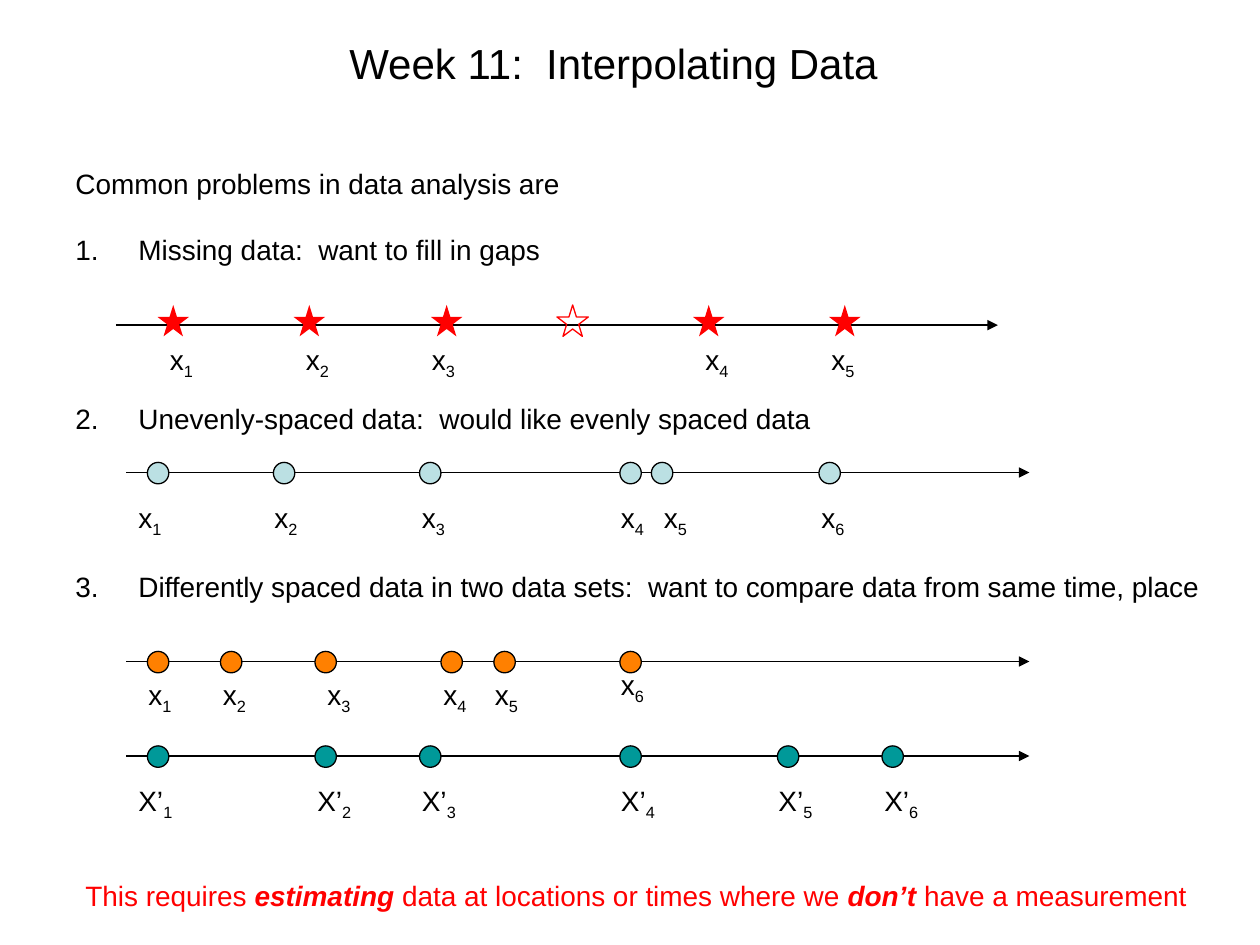
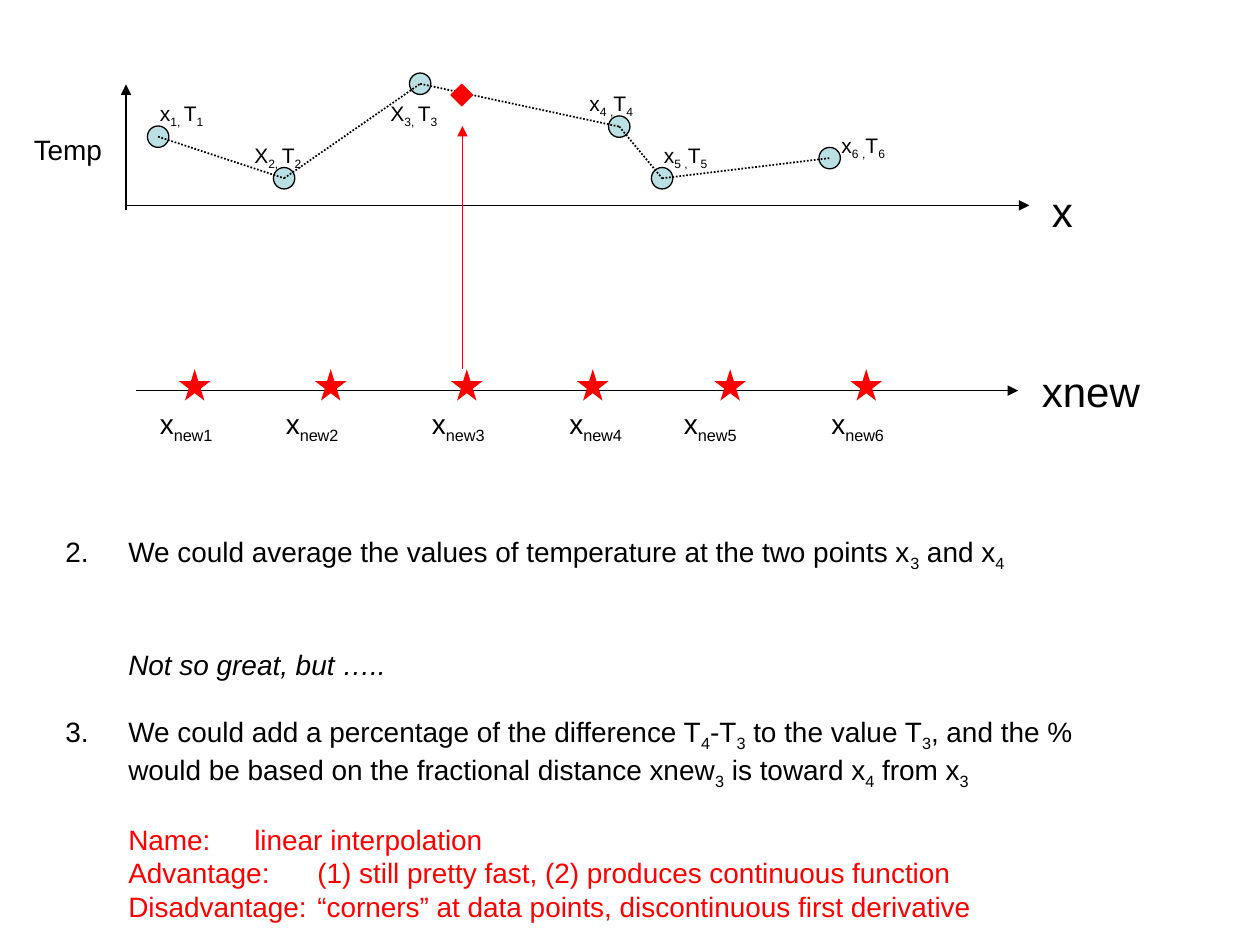
from itertools import pairwise

from pptx import Presentation
from pptx.dml.color import RGBColor
from pptx.enum.dml import MSO_LINE
from pptx.enum.shapes import MSO_CONNECTOR, MSO_SHAPE
from pptx.enum.text import MSO_ANCHOR, MSO_AUTO_SIZE, PP_ALIGN
from pptx.oxml.ns import qn
from pptx.util import Inches, Pt
from lxml.etree import SubElement

BLACK = RGBColor(0x00, 0x00, 0x00)
RED = RGBColor(0xFF, 0x00, 0x00)
PALE_BLUE = RGBColor(0xBB, 0xE0, 0xE3)
ORANGE = RGBColor(0xFF, 0x80, 0x00)
TEAL = RGBColor(0x00, 0x99, 0x99)

FONT = "Arial"
BODY, HEADING, SMALL = 16, 24, 12
DOT, STAR = 0.17, 0.25
TITLE_ONLY, BLANK = 5, 6


# Text
def write(paragraph, text, size=BODY, color=BLACK):
    """Fill a paragraph; ~...~ marks subscripts and *...* bold italics."""
    font = paragraph.font
    font.name, font.size, font.color.rgb = FONT, Pt(size), color
    for i, part in enumerate(text.split("~")):
        for j, piece in enumerate(part.split("*")):
            if not piece:
                continue
            run = paragraph.add_run()
            run.text = piece
            if i % 2:
                run.font._element.set("baseline", "-25000")
            if j % 2:
                run.font.bold = run.font.italic = True


def add_label(slide, text, left, top, width, size=BODY, color=BLACK):
    height = 0.1 + size / 60
    box = slide.shapes.add_textbox(Inches(left), Inches(top), Inches(width), Inches(height))
    frame = box.text_frame
    frame.word_wrap = False
    frame.auto_size = MSO_AUTO_SIZE.SHAPE_TO_FIT_TEXT
    write(frame.paragraphs[0], text, size, color)


def add_labels(slide, texts, lefts, top, width):
    for text, left in zip(texts, lefts):
        add_label(slide, text, left, top, width)


def indexed(stem, count):
    """Names such as x1, x2 ... with the number as a subscript."""
    return [f"{stem}{n}~" for n in range(1, count + 1)]


def add_list(slide, left, top, width, height, items):
    """Items are (text, gap before in points, first number or None, colour)."""
    box = slide.shapes.add_textbox(Inches(left), Inches(top), Inches(width), Inches(height))
    frame = box.text_frame
    frame.word_wrap = True
    for n, (text, gap, number, color) in enumerate(items):
        paragraph = frame.add_paragraph() if n else frame.paragraphs[0]
        paragraph.space_before = Pt(gap)
        write(paragraph, text, color=color)
        if number:
            properties = paragraph._p.get_or_add_pPr()
            properties.set("marL", str(Inches(0.5)))
            properties.set("indent", str(Inches(-0.5)))
            bullet = properties.makeelement(
                qn("a:buAutoNum"), {"type": "arabicPeriod", "startAt": str(number)})
            properties.find(qn("a:defRPr")).addprevious(bullet)
    return frame.paragraphs


def indent(paragraph):
    properties = paragraph._p.get_or_add_pPr()
    properties.set("marL", str(Inches(0.5)))
    properties.set("indent", "0")


def set_title(slide, text):
    title = slide.shapes.title
    title.left, title.top = Inches(1.33), Inches(0.25)
    title.width, title.height = Inches(7.08), Inches(0.5)
    frame = title.text_frame
    frame.auto_size = MSO_AUTO_SIZE.NONE
    frame.vertical_anchor = MSO_ANCHOR.TOP
    frame.paragraphs[0].alignment = PP_ALIGN.CENTER
    write(frame.paragraphs[0], text, HEADING)


# Lines and markers
def add_line(slide, start, end, color=BLACK, weight=0.75, dotted=False):
    """A dotted link, or a solid line with an arrowhead at its end."""
    line = slide.shapes.add_connector(
        MSO_CONNECTOR.STRAIGHT, *(Inches(v) for v in (*start, *end)))
    line.line.color.rgb = color
    line.line.width = Pt(weight)
    if dotted:
        line.line.dash_style = MSO_LINE.ROUND_DOT
    else:
        SubElement(line.line._get_or_add_ln(), qn("a:tailEnd"), type="triangle")
    SubElement(line._element.spPr, qn("a:effectLst"))


def add_marker(slide, kind, left, top, size, fill=None, outline=None):
    marker = slide.shapes.add_shape(
        kind, Inches(left), Inches(top), Inches(size), Inches(size))
    marker.shadow.inherit = False
    if fill is None:
        marker.fill.background()
    else:
        marker.fill.solid()
        marker.fill.fore_color.rgb = fill
    if outline is None:
        marker.line.fill.background()
    else:
        marker.line.color.rgb = outline
        marker.line.width = Pt(0.75)


def add_dot(slide, left, top, fill):
    add_marker(slide, MSO_SHAPE.OVAL, left, top, DOT, fill, BLACK)


def add_star(slide, left, top, filled=True):
    add_marker(slide, MSO_SHAPE.STAR_5_POINT, left, top, STAR,
               RED if filled else None, None if filled else RED)


def add_dot_axis(slide, y, fill, lefts):
    add_line(slide, (1, y), (8.17, y))
    for left in lefts:
        add_dot(slide, left, y - 0.08, fill)


# Slides
def build_problems(prs):
    slide = prs.slides.add_slide(prs.slide_layouts[TITLE_ONLY])
    set_title(slide, "Week 11:  Interpolating Data")
    add_list(slide, 0.5, 1.27, 9.25, 3.57, [
        ("Common problems in data analysis are", 0, None, BLACK),
        ("Missing data:  want to fill in gaps", 19, 1, BLACK),
        ("Unevenly-spaced data:  would like evenly spaced data", 77, 1, BLACK),
        ("Differently spaced data in two data sets:  "
         "want to compare data from same time, place", 77, 1, BLACK),
    ])

    # Missing data: the gap is a hollow star
    add_line(slide, (0.92, 2.58), (7.92, 2.58))
    for left in (1.25, 2.33, 3.42, 4.42, 5.5, 6.58):
        add_star(slide, left, 2.42, filled=left != 4.42)
    add_labels(slide, indexed("x~", 5), (1.25, 2.33, 3.33, 5.5, 6.5), 2.67, 0.4)

    # Unevenly spaced data
    add_dot_axis(slide, 3.75, PALE_BLUE, (1.17, 2.17, 3.33, 4.92, 5.17, 6.5))
    add_labels(slide, indexed("x~", 6), (1, 2.08, 3.25, 4.83, 5.17, 6.42), 3.92, 0.4)

    # Two data sets; the last label of the first sits closer to its axis
    add_dot_axis(slide, 5.25, ORANGE, (1.17, 1.75, 2.5, 3.5, 3.92, 4.92))
    *first_names, last_name = indexed("x~", 6)
    add_labels(slide, first_names, (1.08, 1.67, 2.5, 3.42, 3.83), 5.33, 0.4)
    add_label(slide, last_name, 4.83, 5.25, 0.4)
    add_dot_axis(slide, 6, TEAL, (1.17, 2.5, 3.33, 4.92, 6.17, 7))
    add_labels(slide, indexed("X’~", 6), (1, 2.42, 3.25, 4.83, 6.08, 6.92), 6.17, 0.48)

    add_label(slide, "This requires *estimating* data at locations or times "
              "where we *don’t* have a measurement", 0.58, 6.92, 8.96, color=RED)


def build_interpolation(prs):
    slide = prs.slides.add_slide(prs.slide_layouts[BLANK])

    # Axes
    add_line(slide, (1, 1.63), (8.17, 1.63))
    add_line(slide, (1, 1.67), (1, 0.67))
    add_line(slide, (1.08, 3.1), (8.08, 3.1))
    add_label(slide, "Temp", 0.17, 1, 0.77)
    add_label(slide, "x", 8.25, 1.42, 0.37, HEADING)
    add_label(slide, "xnew", 8.17, 2.85, 0.98, HEADING)

    # Measured points, their names and the dotted links between them
    points = [(1.17, 1), (2.17, 1.33), (3.25, 0.58),
              (4.83, 0.92), (5.17, 1.33), (6.5, 1.17)]
    for left, top in points:
        add_dot(slide, left, top, PALE_BLUE)
    for text, left, top, width in (
            ("x~1, ~T~1~", 1.17, 0.75, 0.57), ("X~2, ~T~2~", 1.92, 1.08, 0.6),
            ("X~3, ~T~3~", 3, 0.75, 0.6), ("x~4 ,~T~4~", 4.58, 0.67, 0.57),
            ("x~5 ,~T~5~", 5.17, 1.08, 0.57), ("x~6 ,~T~6~", 6.58, 1, 0.57)):
        add_label(slide, text, left, top, width, SMALL)
    centres = [(left + DOT / 2, top + DOT / 2) for left, top in points]
    for start, end in pairwise(centres):
        add_line(slide, start, end, weight=1, dotted=True)

    # New positions, the third one carried up to the curve
    for left in (1.42, 2.5, 3.58, 4.58, 5.67, 6.75):
        add_star(slide, left, 2.93)
    add_labels(slide, indexed("x~new", 6), (1.17, 2.17, 3.33, 4.42, 5.33, 6.5), 3.18, 0.67)
    add_line(slide, (3.67, 2.93), (3.67, 1), RED)
    add_marker(slide, MSO_SHAPE.DIAMOND, 3.58, 0.67, DOT, RED, RED)

    # Methods
    _, aside, _, *summary = add_list(slide, 0.42, 4.19, 8.67, 2.87, [
        ("We could average the values of temperature at the two points "
         "x~3~ and x~4~", 0, 2, BLACK),
        ("Not so great, but …..", 43, None, BLACK),
        ("We could add a percentage of the difference T~4~-T~3~ to the value T~3~, "
         "and the % would be based on the fractional distance xnew~3~ is toward "
         "x~4~ from x~3~", 19, 2, BLACK),
        ("Name:\tlinear interpolation", 18, None, RED),
        ("Advantage:\t(1) still pretty fast, (2) produces continuous function",
         0, None, RED),
        ("Disadvantage:\t“corners” at data points, discontinuous first derivative",
         0, None, RED),
    ])
    aside.level = 1
    aside.font.italic = True
    for paragraph in (aside, *summary):
        indent(paragraph)


def main():
    prs = Presentation()
    prs.slide_width, prs.slide_height = Inches(10), Inches(7.5)
    build_problems(prs)
    build_interpolation(prs)
    prs.save("out.pptx")


main()
